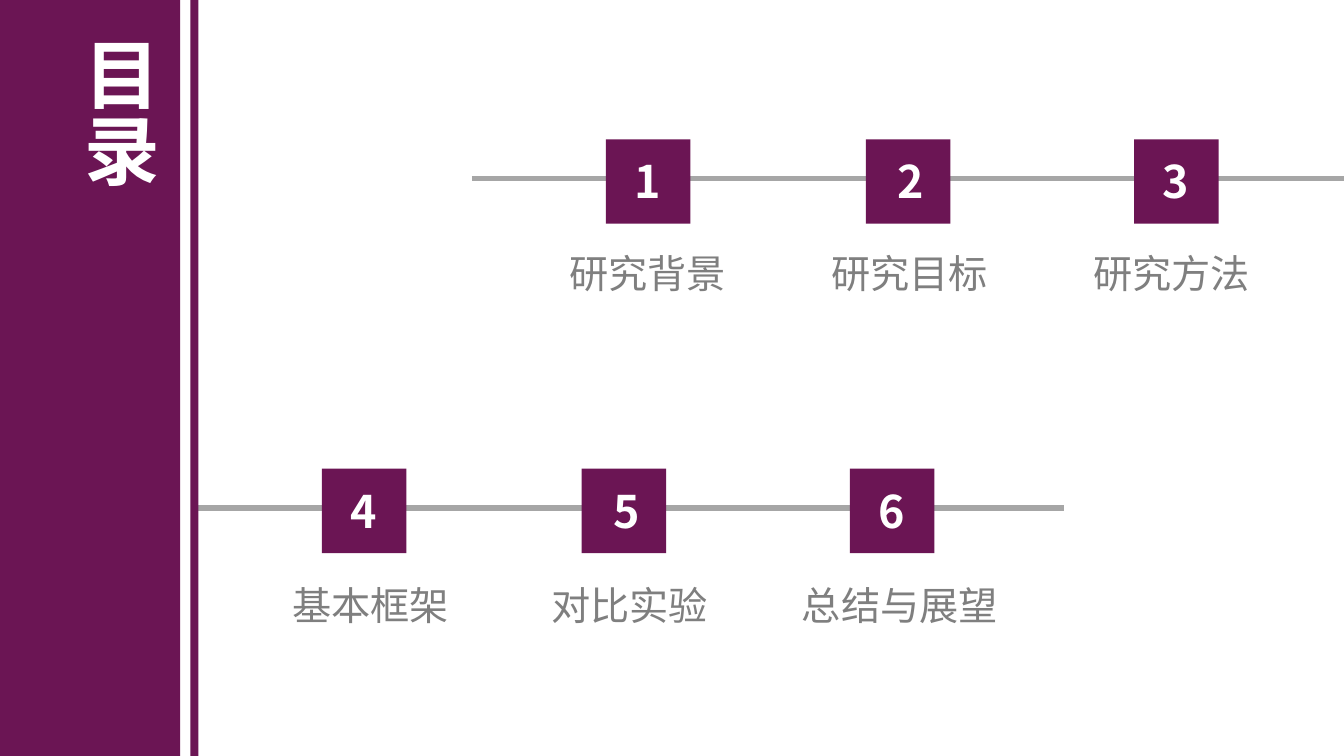
import pptx
import pptx.util
import pptx.dml.color
import pptx.enum.shapes
import pptx.enum.text
import pptx.oxml.ns
import lxml.etree

Cm = pptx.util.Cm
Pt = pptx.util.Pt
ALIGN = pptx.enum.text.PP_ALIGN
FONT = "Noto Sans CJK SC"
PLUM, GREY, RULE, WHITE = "6B1554", "7F7F7F", "A6A6A6", "FFFFFF"
WIDE, HIGH = 33.87, 19.05
SIDE = 2.13
TITLE = "目录"

BARS = [(0, 4.54), (4.8, 0.2)]
ROWS = [
    dict(y=4.5, start=11.89, end=WIDE, shift=0, drop=1.67, items=[
        ("1", "研究背景", 14.1, 4.45),
        ("2", "研究目标", 20.7, 4.45),
        ("3", "研究方法", 27.3, 4.45)]),
    dict(y=12.8, start=4.83, end=26.82, shift=-7.16, drop=1.73, items=[
        ("4", "基本框架", 7.11, 4.45),
        ("5", "对比实验", 13.64, 4.45),
        ("6", "总结与展望", 19.96, 5.44)]),
]
STOPS = [(15.27, -0.3), (21.82, -0.23), (28.58, -0.3)]


def tint(code):
    return pptx.dml.color.RGBColor.from_string(code)


def block(x, y, w, h):
    box = slide.shapes.add_shape(
        pptx.enum.shapes.MSO_SHAPE.RECTANGLE, Cm(x), Cm(y), Cm(w), Cm(h))
    box.shadow.inherit = False
    box.fill.solid()
    box.fill.fore_color.rgb = tint(PLUM)
    box.line.fill.background()


def rule(x, end, y):
    line = slide.shapes.add_connector(
        pptx.enum.shapes.MSO_CONNECTOR.STRAIGHT, Cm(x), Cm(y), Cm(end), Cm(y))
    line.line.color.rgb = tint(RULE)
    line.line.width = Pt(4)
    lxml.etree.SubElement(
        line._element.spPr, pptx.oxml.ns.qn("a:effectLst"))


def label(text, x, y, w, h, size, color, bold=False, wrap=True, align=ALIGN.LEFT):
    box = slide.shapes.add_textbox(Cm(x), Cm(y), Cm(w), Cm(h))
    frame = box.text_frame
    frame.text = text
    frame.word_wrap = wrap
    frame.auto_size = pptx.enum.text.MSO_AUTO_SIZE.SHAPE_TO_FIT_TEXT
    para = frame.paragraphs[0]
    para.alignment = align
    run = para.runs[0]
    run.font.name = FONT
    run.font.size = Pt(size)
    run.font.bold = bold
    run.font.color.rgb = tint(color)
    east = lxml.etree.SubElement(
        run._r.get_or_add_rPr(), pptx.oxml.ns.qn("a:ea"))
    east.set("typeface", FONT)
    return frame


deck = pptx.Presentation()
deck.slide_width, deck.slide_height = Cm(WIDE), Cm(HIGH)
slide = deck.slides.add_slide(deck.slide_layouts[6])

for row in ROWS:
    y = row["y"]
    rule(row["start"], row["end"], y)
    for (num, name, left, width), (stop, nudge) in zip(row["items"], STOPS):
        x = stop + row["shift"]
        block(x, y - 0.99, SIDE, SIDE)
        label(num, x + nudge, y - 0.74, 2.72, 1.7, 32, WHITE, True,
              align=ALIGN.CENTER)
        label(name, left, y + row["drop"], width, 1.45, 28, GREY, wrap=False)

for x, width in BARS:
    block(x, 0, width, HIGH)

head = label(TITLE, 1.47, 0.69, 2.82, 4.88, 54, WHITE, True,
             align=ALIGN.JUSTIFY)
head._txBody.bodyPr.set("vert", "eaVert")

deck.save("out.pptx")
